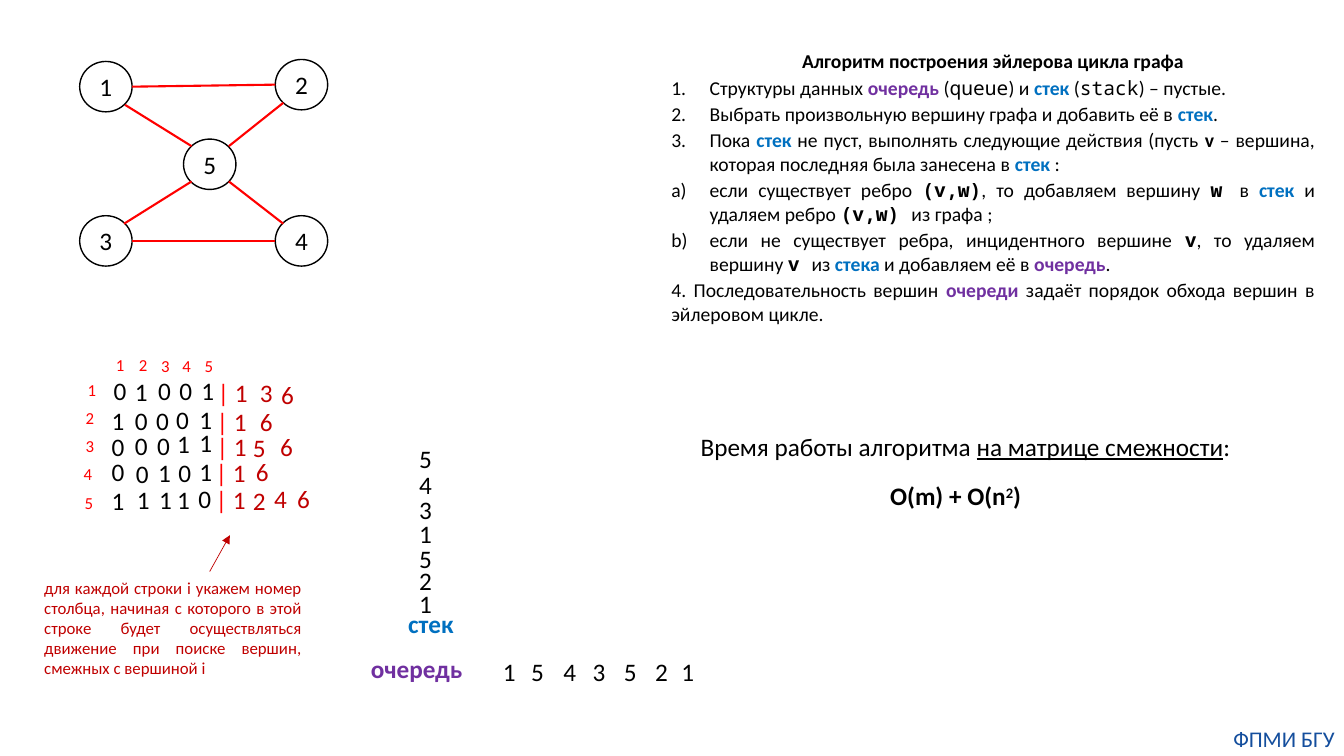
from dataclasses import dataclass

from lxml import etree
from pptx import Presentation
from pptx.dml.color import RGBColor
from pptx.enum.shapes import MSO_CONNECTOR, MSO_SHAPE
from pptx.enum.text import MSO_ANCHOR, MSO_AUTO_SIZE, PP_ALIGN
from pptx.oxml.ns import qn
from pptx.util import Pt

PX = 9144  # EMU in one px, 100 px to the inch

BLACK = RGBColor(0x00, 0x00, 0x00)
RED = RGBColor(0xFF, 0x00, 0x00)
DARK_RED = RGBColor(0xC0, 0x00, 0x00)
BLUE = RGBColor(0x00, 0x70, 0xC0)
PURPLE = RGBColor(0x70, 0x30, 0xA0)
NAVY = RGBColor(0x14, 0x4E, 0x9D)
SANS, MONO = "Calibri", "Noto Sans Mono"


@dataclass(frozen=True)
class Style:
    size: int = 14
    colour: RGBColor = BLACK
    bold: bool = False
    font: str = SANS
    underline: bool = False
    raised: bool = False


@dataclass(frozen=True)
class Line:
    runs: list[tuple[str, Style]]
    align: PP_ALIGN = PP_ALIGN.LEFT
    numbering: str = ""
    space_after: int = 0


@dataclass(frozen=True)
class DigitRow:
    digits: str
    lefts: list[int]
    tops: list[int]
    style: Style


@dataclass(frozen=True)
class Vertex:
    name: str
    left: int
    top: int


@dataclass(frozen=True)
class Edge:
    start: tuple[int, int]
    end: tuple[int, int]


PLAIN, BOLD = Style(), Style(bold=True)
CODE, BOLD_CODE = Style(font=MONO), Style(font=MONO, bold=True)
STACK, QUEUE = Style(colour=BLUE, bold=True), Style(colour=PURPLE, bold=True)
DIGIT, POINTER = Style(18), Style(18, DARK_RED)
BAR, INDEX = Style(18, RED), Style(12, RED)

VERTICES = [Vertex("1", 79, 61), Vertex("5", 182, 138), Vertex("3", 79, 214),
            Vertex("4", 273, 214), Vertex("2", 273, 59)]
EDGES = [Edge((131, 86), (273, 84)), Edge((281, 102), (227, 145)),
         Edge((190, 180), (123, 222)), Edge((131, 239), (273, 239)),
         Edge((227, 180), (281, 222)), Edge((124, 104), (190, 145))]

JUSTIFIED = PP_ALIGN.JUSTIFY
STEP, CASE = "arabicPeriod", "alphaLcParenR"
ALGORITHM = [
    Line([("Алгоритм построения эйлерова цикла графа", BOLD)], PP_ALIGN.CENTER, "", 2),
    Line([("Структуры данных ", PLAIN), ("очередь", QUEUE), (" (", PLAIN),
          ("queue", CODE), (") и ", PLAIN), ("стек ", STACK), ("(", PLAIN),
          ("stack", CODE), (") – пустые.", PLAIN)], JUSTIFIED, STEP, 2),
    Line([("Выбрать произвольную вершину графа и добавить её в ", PLAIN),
          ("стек", STACK), (".", PLAIN)], JUSTIFIED, STEP, 2),
    Line([("Пока ", PLAIN), ("стек", STACK),
          (" не пуст, выполнять следующие действия (пусть ", PLAIN), ("v", BOLD),
          (" – вершина, которая последняя была занесена в ", PLAIN),
          ("стек ", STACK), (":", PLAIN)], JUSTIFIED, STEP, 2),
    Line([("если существует ребро ", PLAIN), ("(v,w)", BOLD_CODE),
          (", то добавляем вершину ", PLAIN), ("w ", BOLD_CODE), ("в ", PLAIN),
          ("стек", STACK), (" и удаляем ребро ", PLAIN), ("(v,w) ", BOLD_CODE),
          ("из графа ;", PLAIN)], JUSTIFIED, CASE, 2),
    Line([("если не существует ребра, инцидентного вершине ", PLAIN),
          ("v", BOLD_CODE), (", то удаляем вершину ", PLAIN), ("v ", BOLD_CODE),
          ("из ", PLAIN), ("стека", STACK), (" и добавляем её в ", PLAIN),
          ("очередь", QUEUE), (".", PLAIN)], JUSTIFIED, CASE, 2),
    Line([("4. Последовательность вершин ", PLAIN), ("очереди", QUEUE),
          (" задаёт порядок обхода вершин в эйлеровом цикле.", PLAIN)], JUSTIFIED, "", 2),
]

DIGIT_ROWS = [
    # Column and row numbers of the adjacency matrix
    DigitRow("12345", [105, 128, 150, 171, 193], [347, 347, 348, 348, 348], INDEX),
    DigitRow("12345", [77, 75, 75, 73, 74], [372, 400, 427, 455, 484], INDEX),
    # Adjacency matrix
    DigitRow("01001", [103, 124, 147, 168, 190], [367, 368, 367, 367, 367], DIGIT),
    DigitRow("10001", [101, 124, 145, 165, 188], [397, 397, 397, 396, 396], DIGIT),
    DigitRow("00011", [101, 124, 146, 166, 188], [423, 422, 422, 420, 419], DIGIT),
    DigitRow("00101", [101, 125, 147, 167, 188], [448, 450, 449, 449, 448], DIGIT),
    DigitRow("11110", [101, 126, 148, 166, 187], [477, 476, 476, 476, 475], DIGIT),
    # Later start columns of each matrix row
    DigitRow("36", [248, 269], [369, 371], POINTER),
    DigitRow("6", [248], [398], POINTER),
    DigitRow("56", [241, 268], [424, 423], POINTER),
    DigitRow("6", [244], [448], POINTER),
    DigitRow("246", [241, 262, 285], [477, 475, 475], POINTER),
    # Stack and queue contents
    DigitRow("5431521", [406] * 7, [435, 461, 486, 509, 534, 556, 579], DIGIT),
    DigitRow("1543521", [489, 517, 549, 578, 609, 640, 666], [646] * 7, DIGIT),
]
BAR_CORNERS = [(206, 369), (205, 398), (205, 423), (204, 449), (204, 476)]


def add_run(paragraph, text: str, style: Style) -> None:
    run = paragraph.add_run()
    run.text = text
    font = run.font
    font.name, font.size, font.bold = style.font, Pt(style.size), style.bold
    font.color.rgb = style.colour
    if style.underline:
        font.underline = True
    if style.raised:
        run._r.get_or_add_rPr().set("baseline", "30000")


def add_text(slide, left: int, top: int, width: int, height: int,
             lines: list[Line], wrap: bool = False, inset: int = 10) -> None:
    box = slide.shapes.add_textbox(left * PX, top * PX, width * PX, height * PX)
    frame = box.text_frame
    frame.word_wrap = wrap
    frame.auto_size = MSO_AUTO_SIZE.SHAPE_TO_FIT_TEXT
    frame.margin_left = frame.margin_right = inset * PX
    frame.margin_top = frame.margin_bottom = inset * PX // 2
    for number, line in enumerate(lines):
        paragraph = frame.add_paragraph() if number else frame.paragraphs[0]
        paragraph.alignment = line.align
        paragraph.space_after = Pt(line.space_after)
        if line.numbering:
            properties = paragraph._p.get_or_add_pPr()
            properties.set("marL", str(38 * PX))
            properties.set("indent", str(-38 * PX))
            etree.SubElement(properties, qn("a:buAutoNum"), type=line.numbering)
        for text, style in line.runs:
            add_run(paragraph, text, style)


def add_digits(slide, row: DigitRow) -> None:
    width, height = (33, 40) if row.style.size == 18 else (29, 30)
    for digit, left, top in zip(row.digits, row.lefts, row.tops):
        add_text(slide, left, top, width, height, [Line([(digit, row.style)])])


def add_vertex(slide, vertex: Vertex) -> None:
    shape = slide.shapes.add_shape(MSO_SHAPE.OVAL, vertex.left * PX, vertex.top * PX,
                                   52 * PX, 50 * PX)
    shape.shadow.inherit = False
    shape.fill.background()
    shape.line.color.rgb, shape.line.width = BLACK, Pt(1)
    shape.text_frame.vertical_anchor = MSO_ANCHOR.MIDDLE
    paragraph = shape.text_frame.paragraphs[0]
    paragraph.alignment = PP_ALIGN.CENTER
    add_run(paragraph, vertex.name, DIGIT)


def add_edge(slide, edge: Edge, colour: RGBColor, width: float, arrow: bool = False) -> None:
    ends = [value * PX for value in edge.start + edge.end]
    connector = slide.shapes.add_connector(MSO_CONNECTOR.STRAIGHT, *ends)
    connector.line.color.rgb, connector.line.width = colour, Pt(width)
    if arrow:
        etree.SubElement(connector.line._get_or_add_ln(), qn("a:tailEnd"), type="triangle")
    etree.SubElement(connector._element.spPr, qn("a:effectLst"))


def main() -> None:
    presentation = Presentation()
    presentation.slide_width, presentation.slide_height = 1333 * PX, 750 * PX
    slide = presentation.slides.add_slide(presentation.slide_layouts[6])

    # Graph
    for vertex in VERTICES:
        add_vertex(slide, vertex)
    for edge in EDGES:
        add_edge(slide, edge, RED, 1.5)

    # Algorithm and running time
    add_text(slide, 656, 44, 658, 286, ALGORITHM, wrap=True)
    add_text(slide, 685, 423, 551, 40, [Line([
        ("Время работы алгоритма ", DIGIT),
        ("на матрице смежности", Style(18, underline=True)), (":", DIGIT)])])
    formula = Style(18, bold=True)
    add_text(slide, 873, 472, 155, 40, [Line([
        ("О(m) + О(n", formula), ("2", Style(18, bold=True, raised=True)), (")", formula)])])

    # Matrix, stack and queue
    for row in DIGIT_ROWS:
        add_digits(slide, row)
    for left, top in BAR_CORNERS:
        add_text(slide, left, top, 50, 40, [Line([("| ", BAR), ("1", POINTER)])])
    add_text(slide, 395, 599, 65, 40, [Line([("стек", Style(18, BLUE, True))])])
    add_text(slide, 358, 643, 112, 40, [Line([("очередь", Style(18, PURPLE, True))])])

    # Note on the start columns
    add_text(slide, 34, 568, 275, 111, [Line([(
        "для каждой строки i укажем номер столбца, начиная с которого в этой строке "
        "будет осуществляться движение при поиске вершин, смежных с вершиной i",
        Style(12, DARK_RED))], JUSTIFIED)], wrap=True)
    add_edge(slide, Edge((208, 567), (228, 531)), DARK_RED, 0.5, arrow=True)

    # Footer
    add_text(slide, 1217, 719, 113, 27,
             [Line([("ФПМИ БГУ", Style(16, NAVY))], PP_ALIGN.CENTER)], wrap=True, inset=0)

    presentation.save("out.pptx")


if __name__ == "__main__":
    main()
